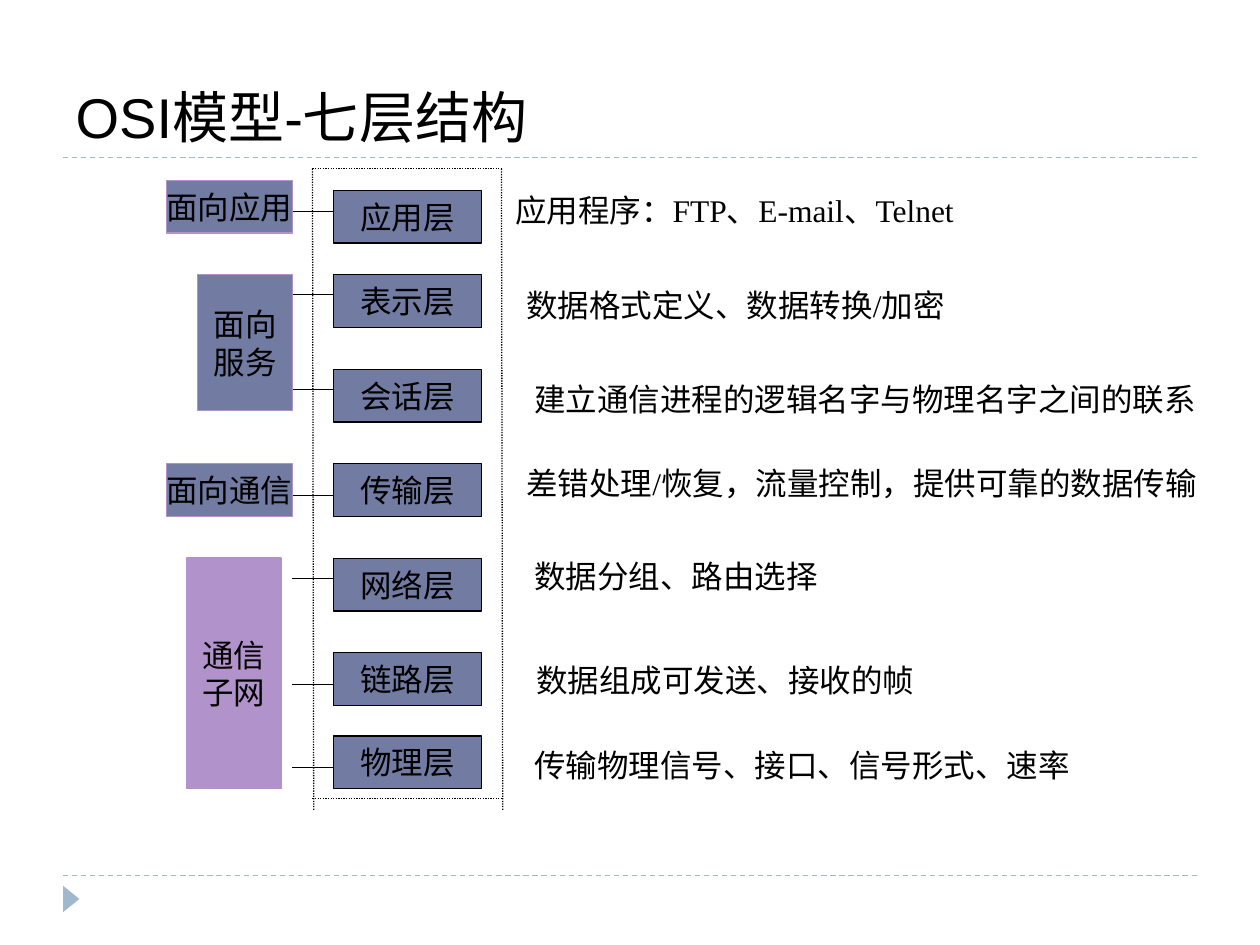
from dataclasses import dataclass

import pptx
import pptx.dml.color
import pptx.enum.dml
import pptx.enum.shapes
import pptx.enum.text
import pptx.oxml.ns
import pptx.util
from lxml import etree
from pptx.util import Inches

ACCENT, SLATE, LILAC, BLACK = "9FB8CD", "727CA3", "B292CA", "000000"
SERIF, SANS = "Times New Roman", "Arial"
SHAPE = pptx.enum.shapes.MSO_SHAPE
DASH = pptx.enum.dml.MSO_LINE
ALIGN = pptx.enum.text.PP_ALIGN
ANCHOR = pptx.enum.text.MSO_ANCHOR
AUTO_SIZE = pptx.enum.text.MSO_AUTO_SIZE

LAYER_LEFT, LAYER_WIDTH, LAYER_HEIGHT = 2.65, 1.17, 0.42
GROUP_RIGHT = 2.32
FRAME_LEFT, FRAME_RIGHT, FRAME_TOP, FRAME_BOTTOM = 2.48, 3.98, 1.34, 6.34


@dataclass
class Layer:
    name: str
    top: float
    link_y: float
    duty: str
    duty_left: float
    duty_top: float
    duty_width: float
    duty_font: str = SERIF


@dataclass
class Group:
    lines: list[str]
    left: float
    top: float
    width: float
    height: float
    fill: str = SLATE


LAYERS = [
    Layer("应用层", 1.51, 1.68, "应用程序：FTP、E-mail、Telnet", 3.99, 1.47, 4),
    Layer("表示层", 2.18, 2.34, "数据格式定义、数据转换/加密", 4.08, 2.22, 3.64),
    Layer("会话层", 2.93, 3.09, "建立通信进程的逻辑名字与物理名字之间的联系",
          4.14, 2.97, 5.5, SANS),
    Layer("传输层", 3.68, 3.93, "差错处理/恢复，流量控制，提供可靠的数据传输",
          4.08, 3.63, 5.64),
    Layer("网络层", 4.43, 4.59, "数据分组、路由选择", 4.14, 4.37, 2.45),
    Layer("链路层", 5.18, 5.43, "数据组成可发送、接收的帧", 4.16, 5.2, 3.2),
    Layer("物理层", 5.84, 6.09, "传输物理信号、接口、信号形式、速率", 4.14, 5.87, 4.45),
]

GROUPS = [
    Group(["通信", "子网"], 1.48, 4.43, 0.75, 1.83, LILAC),
    Group(["面向通信"], 1.32, 3.68, 1, LAYER_HEIGHT),
    Group(["面向", "服务"], 1.57, 2.18, 0.75, 1.08),
    Group(["面向应用"], 1.32, 1.43, 1, LAYER_HEIGHT),
]


def rgb(color: str) -> pptx.dml.color.RGBColor:
    return pptx.dml.color.RGBColor.from_string(color)


def write(frame, lines: list[str], size: float, font: str, align) -> None:
    for number, line in enumerate(lines):
        paragraph = frame.add_paragraph() if number else frame.paragraphs[0]
        paragraph.alignment = align
        run = paragraph.add_run()
        run.text = line
        run.font.size = pptx.util.Pt(size)
        run.font.name = font
        run.font.color.rgb = rgb(BLACK)


def add_line(slide, x1: float, y1: float, x2: float, y2: float,
             color: str = BLACK, dash=None) -> None:
    line = slide.shapes.add_connector(
        pptx.enum.shapes.MSO_CONNECTOR.STRAIGHT,
        Inches(x1), Inches(y1), Inches(x2), Inches(y2))
    line.line.color.rgb = rgb(color)
    line.line.width = pptx.util.Pt(0.75)
    if dash is not None:
        line.line.dash_style = dash
    etree.SubElement(line._element.spPr, pptx.oxml.ns.qn("a:effectLst"))


def add_box(slide, lines: list[str], left: float, top: float, width: float,
            height: float, fill: str, outline: str) -> None:
    box = slide.shapes.add_shape(SHAPE.RECTANGLE, Inches(left), Inches(top),
                                 Inches(width), Inches(height))
    box.shadow.inherit = False
    box.fill.solid()
    box.fill.fore_color.rgb = rgb(fill)
    box.line.color.rgb = rgb(outline)
    box.line.width = pptx.util.Pt(0.75)
    box.text_frame.word_wrap = False
    box.text_frame.vertical_anchor = ANCHOR.MIDDLE
    write(box.text_frame, lines, 18, SERIF, ALIGN.CENTER)


def add_duty(slide, layer: Layer) -> None:
    duty = slide.shapes.add_textbox(
        Inches(layer.duty_left), Inches(layer.duty_top),
        Inches(layer.duty_width), Inches(0.4))
    duty.text_frame.word_wrap = False
    duty.text_frame.auto_size = AUTO_SIZE.SHAPE_TO_FIT_TEXT
    write(duty.text_frame, [layer.duty], 18, layer.duty_font, ALIGN.LEFT)


def add_title(slide, text: str) -> None:
    title = slide.shapes.title
    title.left, title.top = Inches(0.5), Inches(0.6)
    title.width, title.height = Inches(9), Inches(0.65)
    title.text_frame.auto_size = AUTO_SIZE.NONE
    title.text_frame.vertical_anchor = ANCHOR.MIDDLE
    write(title.text_frame, [text], 32, SANS, ALIGN.LEFT)


def add_page_decoration(slide) -> None:
    for y in (6.95, 1.25):
        add_line(slide, 0.5, y, 9.5, y, ACCENT, DASH.DASH)
    marker = slide.shapes.add_shape(SHAPE.ISOSCELES_TRIANGLE, Inches(0.46),
                                    Inches(7.07), Inches(0.21), Inches(0.13))
    marker.rotation = 90
    marker.shadow.inherit = False
    marker.fill.solid()
    marker.fill.fore_color.rgb = rgb(ACCENT)
    marker.line.fill.background()


def add_frame(slide) -> None:
    """Dotted frame around the layers, its sides running past the bottom."""
    for x in (FRAME_LEFT, FRAME_RIGHT):
        add_line(slide, x, FRAME_TOP, x + 0.01, FRAME_BOTTOM + 0.09,
                 dash=DASH.ROUND_DOT)
    for y in (FRAME_BOTTOM, FRAME_TOP):
        add_line(slide, FRAME_LEFT, y, FRAME_RIGHT, y, dash=DASH.ROUND_DOT)


def main() -> None:
    presentation = pptx.Presentation()
    presentation.slide_width = Inches(10)
    presentation.slide_height = Inches(7.5)
    slide = presentation.slides.add_slide(presentation.slide_layouts[5])

    add_page_decoration(slide)
    add_title(slide, "OSI模型-七层结构")
    for layer in LAYERS:
        add_box(slide, [layer.name], LAYER_LEFT, layer.top, LAYER_WIDTH,
                LAYER_HEIGHT, SLATE, BLACK)
        add_line(slide, GROUP_RIGHT, layer.link_y, LAYER_LEFT, layer.link_y)
    for group in GROUPS:
        add_box(slide, group.lines, group.left, group.top, group.width,
                group.height, group.fill, LILAC)
    add_frame(slide)
    for layer in LAYERS:
        add_duty(slide, layer)

    presentation.save("out.pptx")


if __name__ == "__main__":
    main()
